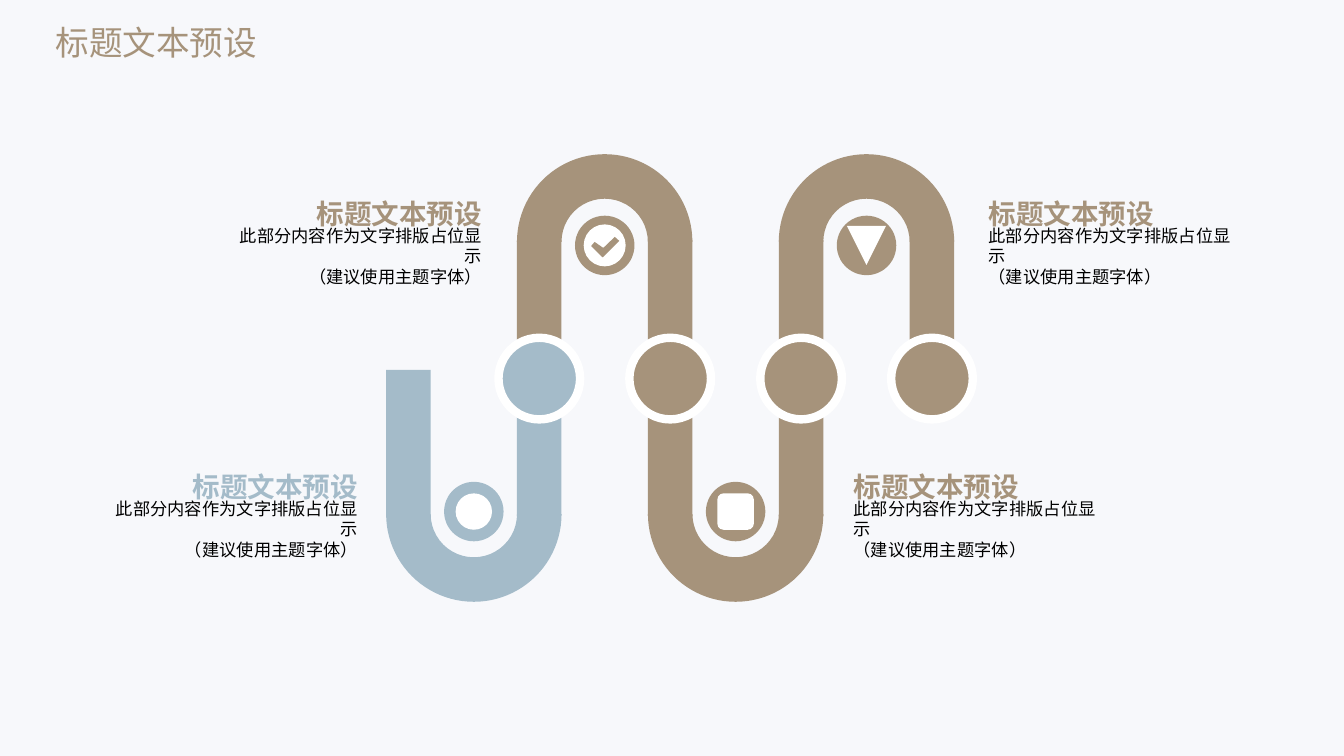
from lxml import etree
from pptx import Presentation
from pptx.dml.color import RGBColor
from pptx.enum.shapes import MSO_SHAPE
from pptx.enum.text import MSO_ANCHOR, PP_ALIGN
from pptx.oxml.ns import qn
from pptx.util import Pt

RECT, OVAL, ARC = MSO_SHAPE.RECTANGLE, MSO_SHAPE.OVAL, MSO_SHAPE.BLOCK_ARC
ROUNDED, WEDGE = MSO_SHAPE.ROUNDED_RECTANGLE, MSO_SHAPE.FLOWCHART_MERGE
TOP, MIDDLE = MSO_ANCHOR.TOP, MSO_ANCHOR.MIDDLE
LEFT, RIGHT = PP_ALIGN.LEFT, PP_ALIGN.RIGHT

BROWN, BLUE, WHITE, BLACK = "A6937B", "A4BBC9", "FFFFFF", "000000"
TITLE = "标题文本预设"
HEADING = "标题文本预设"
BODY = ["此部分内容作为文字排版占位显示", "（建议使用主题字体）"]
STEPS = [
    {"color": BLUE, "up": False, "x": 73.4, "w": 189.4, "align": RIGHT, "icon": (OVAL, 26)},
    {"color": BROWN, "up": True, "x": 162, "w": 189.4, "align": RIGHT, "icon": (OVAL, 30)},
    {"color": BROWN, "up": False, "x": 602.6, "w": 193.7, "align": LEFT, "icon": (ROUNDED, 26)},
    {"color": BROWN, "up": True, "x": 699.1, "w": 193.7, "align": LEFT, "icon": (WEDGE, 28)},
]
CHECK_STEP = 1
CHECK = [(-9.7, 0.4), (-7.2, -2.5), (-1, 1.8), (7.2, -6.1), (10.4, -3.2), (-1.4, 8.6)]

PATH_X, PITCH, BAR_W, BAR_H = 275.8, 93.5, 31.8, 104.4
ARC_D = PITCH + BAR_W
NODE_Y, NODE_D, BADGE_D = 270.4, 58.3, 42.5
BAR_Y = {True: 171.4, False: 264.2}
ARC_Y = {True: 172.8, False: 367.2}
BADGE_Y = {True: 175.3, False: 365.4}
TEXT_Y = {True: 140.4, False: 335.5}
HEAD_H, BODY_H = 19.4, 46.1


def rgb(value):
    return RGBColor.from_string(value)


def paint(sp, color):
    sp.shadow.inherit = False
    sp.fill.solid()
    sp.fill.fore_color.rgb = rgb(color)
    sp.line.fill.background()


def add_shape(s, kind, x, y, w, h, color):
    sp = s.shapes.add_shape(kind, Pt(x), Pt(y), Pt(w), Pt(h))
    paint(sp, color)
    return sp


def add_centered(s, kind, cx, cy, d, color):
    return add_shape(s, kind, cx - d / 2, cy - d / 2, d, d, color)


def add_run(p, text, font, size, color, bold=False):
    r = p.add_run()
    r.text = text
    r.font.name, r.font.size, r.font.bold = font, Pt(size), bold
    r.font.color.rgb = rgb(color)
    ea = etree.Element(qn("a:ea"), typeface=font)
    r.font._element.find(qn("a:latin")).addnext(ea)


def add_text(s, step, y, h, lines, size, color, bold, wrap, anchor):
    box = s.shapes.add_textbox(Pt(step["x"]), Pt(y), Pt(step["w"]), Pt(h))
    tf = box.text_frame
    tf.word_wrap, tf.vertical_anchor = wrap, anchor
    tf.margin_top = tf.margin_bottom = 0
    p = tf.paragraphs[0]
    p.alignment = step["align"]
    for n, line in enumerate(lines):
        if n:
            p.add_line_break()
        add_run(p, line, "Calibri", size, color, bold)


def add_title(s):
    title = s.shapes.title
    title.left, title.top, title.width, title.height = Pt(0), Pt(15.1), Pt(190.8), Pt(51.1)
    tf = title.text_frame
    tf.word_wrap, tf.vertical_anchor = False, TOP
    p = tf.paragraphs[0]
    p.alignment, p.line_spacing = RIGHT, 0.9
    add_run(p, TITLE, "Noto Sans CJK SC", 24, BROWN)


def add_bend(s, i, step):
    x, up, color = PATH_X + i * PITCH, step["up"], step["color"]
    arc = add_shape(s, ARC, x, ARC_Y[up] - ARC_D / 2, ARC_D, ARC_D, color)
    arc.adjustments[2] = BAR_W / ARC_D
    arc.rotation = 0 if up else 180
    for bar_x in (x, x + PITCH):
        add_shape(s, RECT, bar_x, BAR_Y[up], BAR_W, BAR_H, color)


def add_node(s, i, step):
    cx = PATH_X + (i + 1) * PITCH + BAR_W / 2
    node = add_centered(s, OVAL, cx, NODE_Y, NODE_D, step["color"])
    node.line.color.rgb = rgb(WHITE)
    node.line.width = Pt(6)


def add_badge(s, i, step):
    cx, cy = PATH_X + i * PITCH + ARC_D / 2, BADGE_Y[step["up"]]
    add_centered(s, OVAL, cx, cy, BADGE_D, step["color"])
    kind, size = step["icon"]
    add_centered(s, kind, cx, cy, size, WHITE)
    if i == CHECK_STEP:
        points = [(Pt(cx + dx), Pt(cy + dy)) for dx, dy in CHECK]
        fb = s.shapes.build_freeform(*points[0])
        fb.add_line_segments(points[1:], close=True)
        paint(fb.convert_to_shape(), step["color"])


def add_label(s, i, step):
    y = TEXT_Y[step["up"]]
    add_text(s, step, y + HEAD_H, BODY_H, BODY, 12.3, BLACK, False, True, MIDDLE)
    add_text(s, step, y, HEAD_H, [HEADING], 19.7, step["color"], True, False, TOP)


def main():
    prs = Presentation()
    prs.slide_width, prs.slide_height = Pt(960), Pt(540)
    s = prs.slides.add_slide(prs.slide_layouts[5])
    s.background.fill.solid()
    s.background.fill.fore_color.rgb = rgb("F7F8FB")
    add_title(s)
    for draw in (add_label, add_bend, add_node, add_badge):
        for i, step in enumerate(STEPS):
            draw(s, i, step)
    prs.save("out.pptx")


if __name__ == "__main__":
    main()
